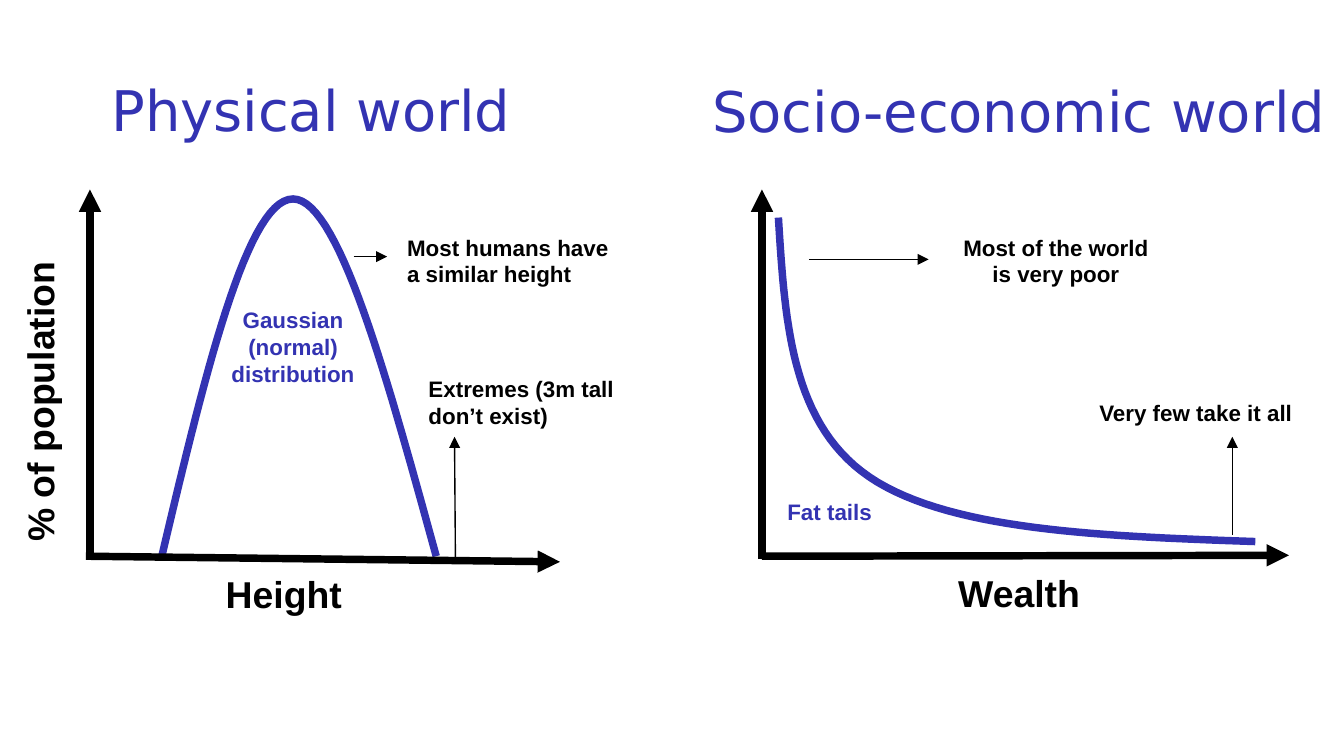
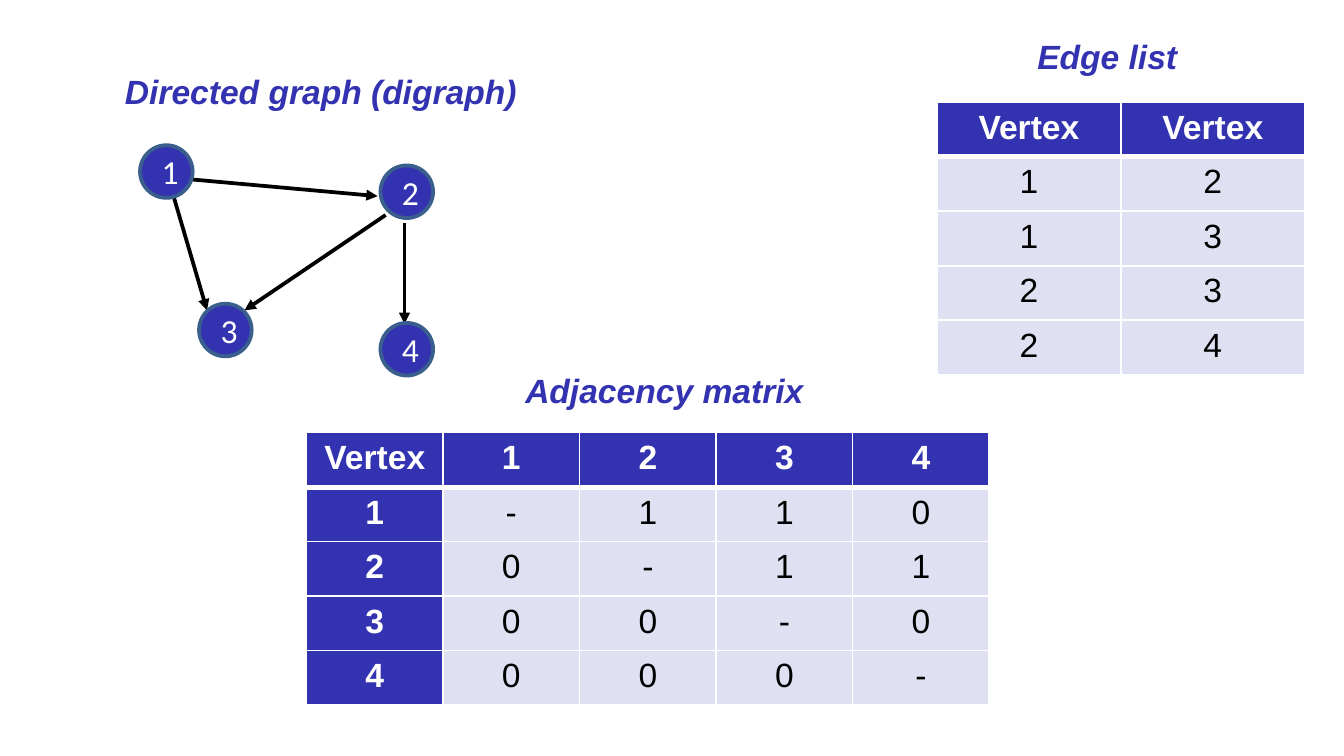
from pptx import Presentation
from pptx.dml.color import RGBColor
from pptx.enum.shapes import MSO_CONNECTOR, MSO_SHAPE
from pptx.enum.text import MSO_ANCHOR, PP_ALIGN
from pptx.oxml import parse_xml
from pptx.oxml.ns import nsdecls
from pptx.util import Pt

BLUE = RGBColor(0x33, 0x33, 0xB2)
RIM = RGBColor(0x3A, 0x5F, 0x8C)
BLACK = RGBColor(0, 0, 0)
WHITE = RGBColor(255, 255, 255)
LEFT, CENTER = PP_ALIGN.LEFT, PP_ALIGN.CENTER
TOP, MIDDLE = MSO_ANCHOR.TOP, MSO_ANCHOR.MIDDLE
STRAIGHT, OVAL = MSO_CONNECTOR.STRAIGHT, MSO_SHAPE.OVAL


def write(frame, text, size=12, font="Arial", color=BLACK, bold=False,
          italic=False, align=LEFT, anchor=TOP, wrap=True):
    frame.word_wrap = wrap
    frame.vertical_anchor = anchor
    frame.text = text
    for para in frame.paragraphs:
        para.alignment = align
        para.font.size = Pt(size)
        para.font.name = font
        para.font.color.rgb = color
        para.font.bold = bold
        para.font.italic = italic


def arrow(slide, x1, y1, x2, y2, width):
    line = slide.shapes.add_connector(STRAIGHT, Pt(x1), Pt(y1), Pt(x2), Pt(y2))
    line.line.color.rgb = BLACK
    line.line.width = Pt(width)
    line.line._get_or_add_ln().append(
        parse_xml(f'<a:tailEnd {nsdecls("a")} type="triangle"/>'))
    line._element.spPr.append(parse_xml(f'<a:effectLst {nsdecls("a")}/>'))


deck = Presentation()
deck.slide_width, deck.slide_height = Pt(720), Pt(405)

# Slide 1: two distributions
slide = deck.slides.add_slide(deck.slide_layouts[5])
shapes = slide.shapes
title = shapes.title
title.left, title.top, title.width, title.height = Pt(38), Pt(36), Pt(250), Pt(45)
second = shapes.add_textbox(Pt(360), Pt(36.7), Pt(360), Pt(45))
for box, text in ((title, "Physical world"), (second, "Socio-economic world")):
    write(box.text_frame, text, size=30, font="DejaVu Sans", color=BLUE, anchor=MIDDLE)
    box.text_frame.margin_left = Pt(21.6)

# Curves: a start point, then Bezier arcs sampled in even steps
STEPS = 30
curves = [
    ((86.7, 298), [((109.4, 202.3), (132.2, 106.6), (157, 106.6)),
                   ((181.4, 106.6), (207.4, 202.3), (233.7, 298))]),
    ((417, 116.6), [((420.5, 171.4), (423.4, 226.8), (465.8, 255.6)),
                    ((508.3, 284.4), (590.4, 287.3), (672.5, 290.2))]),
]
for start, arcs in curves:
    points, a = [], start
    for b, c, d in arcs:
        for i in range(1, STEPS + 1):
            t = i / STEPS
            u = 1 - t
            points.append([Pt(u**3 * p + 3 * u * u * t * q + 3 * u * t * t * r + t**3 * s)
                           for p, q, r, s in zip(a, b, c, d)])
        a = d
    path = shapes.build_freeform(Pt(start[0]), Pt(start[1]))
    path.add_line_segments(points, close=False)
    curve = path.convert_to_shape()
    curve.shadow.inherit = False
    curve.fill.background()
    curve.line.color.rgb = BLUE
    curve.line.width = Pt(4)

# Axes and pointers
for ends in ((46, 298, 300, 301), (48.2, 298, 48.2, 101.5),
             (408.2, 299.5, 408.2, 101.5), (408.2, 298, 690.5, 297.5)):
    arrow(slide, *ends, 4)
for ends in ((189.4, 137.5, 207.4, 137.5), (244, 299.5, 243.5, 234),
             (433.4, 139, 497.5, 139), (660.2, 286.6, 660.2, 234)):
    arrow(slide, *ends, 0.75)

# Axis names
for text, x, y, w, turn in (("Height", 113.8, 302.6, 118, 0),
                            ("Wealth", 506.2, 302, 118, 0),
                            ("% of population", -64.4, 196, 171.4, 270)):
    box = shapes.add_textbox(Pt(x), Pt(y), Pt(w), Pt(31.5))
    box.rotation = turn
    write(box.text_frame, text, size=20, bold=True)

# Notes beside the curves
for text, x, y, w, h, color, align in (
        ("Most humans have a similar height", 211, 121.7, 125.3, 36, BLACK, LEFT),
        ("Extremes (3m tall don’t exist)", 222.5, 197.6, 115.2, 36, BLACK, LEFT),
        ("Most of the world\nis very poor", 499.5, 121.7, 132.5, 36, BLACK, CENTER),
        ("Very few take it all", 581.8, 210.2, 121, 21.6, BLACK, LEFT),
        ("Gaussian\n(normal)\ndistribution", 83.5, 160.6, 147, 51, BLUE, CENTER),
        ("Fat tails", 371, 263.5, 147, 21.6, BLUE, CENTER)):
    box = shapes.add_textbox(Pt(x), Pt(y), Pt(w), Pt(h))
    write(box.text_frame, text, color=color, bold=True, align=align)

# Slide 2: graph and its tables
slide = deck.slides.add_slide(deck.slide_layouts[6])
shapes = slide.shapes
ROW = 29.2
edges = [["Vertex", "Vertex"], ["1", "2"], ["1", "3"], ["2", "3"], ["2", "4"]]
matrix = [["Vertex", "1", "2", "3", "4"],
          ["1", "-", "1", "1", "0"],
          ["2", "0", "-", "1", "1"],
          ["3", "0", "0", "-", "0"],
          ["4", "0", "0", "0", "-"]]
for rows, x, y, wide, side in ((edges, 502, 54.8, 98.5, False),
                               (matrix, 164.2, 231.8, 73.15, True)):
    count = len(rows[0])
    table = shapes.add_table(len(rows), count, Pt(x), Pt(y),
                             Pt(wide * count), Pt(ROW * len(rows))).table
    table.horz_banding = False
    table.first_col = side
    for col in table.columns:
        col.width = Pt(wide)
    for r, row in enumerate(rows):
        table.rows[r].height = Pt(ROW)
        for c, text in enumerate(row):
            cell = table.cell(r, c)
            head = r == 0 or (side and c == 0)
            write(cell.text_frame, text, size=18, color=WHITE if head else BLACK,
                  bold=head, align=CENTER)
            cell.fill.solid()
            cell.fill.fore_color.rgb = BLUE
            props = cell._tc.get_or_add_tcPr()
            if not head:
                props.find(".//{*}srgbClr").append(
                    parse_xml(f'<a:alpha {nsdecls("a")} val="15000"/>'))
            for i, edge in enumerate("LRTB"):
                thick = (r == 0 and edge == "B") or (r == 1 and edge == "T")
                props.insert(i, parse_xml(
                    f'<a:ln{edge} {nsdecls("a")} w="{Pt(3 if thick else 1)}">'
                    f'<a:solidFill><a:srgbClr val="{WHITE}"/></a:solidFill></a:ln{edge}>'))

# Edges, then vertices over them
for ends in ((216.7, 119.5, 216.7, 173.5), (206.6, 115.2, 131, 166.3),
             (90, 95, 202.3, 105.1), (90, 95, 110.9, 166.3)):
    arrow(slide, *ends, 2)
for text, x, y in (("1", 75, 77.8), ("2", 203.8, 88.6),
                   ("3", 106.6, 162.7), ("4", 203.8, 173)):
    node = shapes.add_shape(OVAL, Pt(x), Pt(y), Pt(28.2), Pt(28.2))
    node.shadow.inherit = False
    node.fill.solid()
    node.fill.fore_color.rgb = BLUE
    node.line.color.rgb = RIM
    node.line.width = Pt(2)
    write(node.text_frame, text, size=18, font="Calibri", color=WHITE,
          align=CENTER, anchor=MIDDLE)
    node.text_frame.margin_left, node.text_frame.margin_right = Pt(4), Pt(0)

# Headings
for text, x, y, w in (("Edge list", 548.6, 15.8, 90),
                      ("Adjacency matrix", 274.3, 194.4, 165),
                      ("Directed graph (digraph)", 59.8, 34.6, 226.8)):
    box = shapes.add_textbox(Pt(x), Pt(y), Pt(w), Pt(29))
    write(box.text_frame, text, size=18, color=BLUE, bold=True, italic=True, wrap=False)

deck.save("out.pptx")
